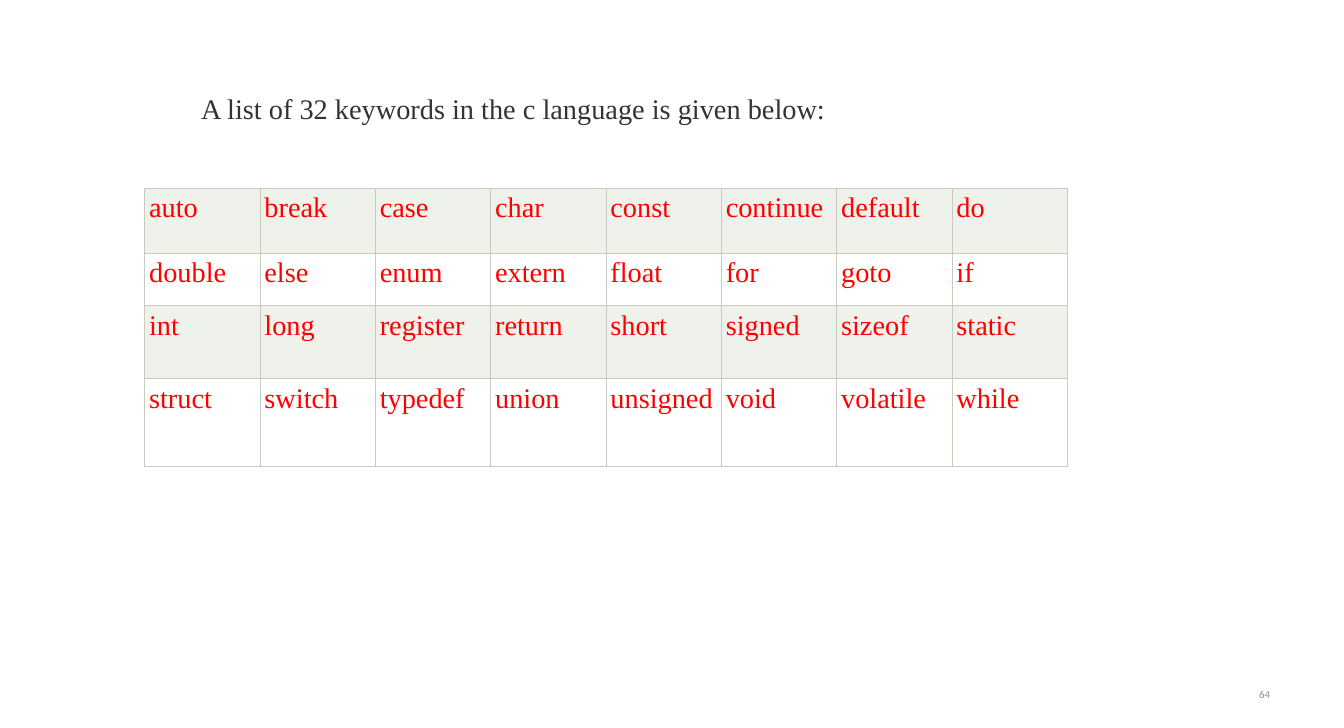
from dataclasses import dataclass

import pptx
import pptx.dml.color
import pptx.enum.text
import pptx.oxml
import pptx.oxml.ns
import pptx.slide
import pptx.table
import pptx.text.text
import pptx.util
from pptx.util import Inches

COLORS = {
    "intro": "333333",
    "keyword": "FF0000",
    "band": "EFF1EB",
    "plain": "FFFFFF",
    "border": "C7CCBE",
    "page_number": "8C8C8C",
}
ALIGN = pptx.enum.text.PP_ALIGN
ANCHOR = pptx.enum.text.MSO_ANCHOR
COLUMN_WIDTH = 1.81
CELL_MARGIN = 0.07
BORDER_POINTS = 0.6


@dataclass
class TextStyle:
    font: str
    size: float
    color: str
    align: pptx.enum.text.PP_ALIGN


@dataclass
class Label:
    text: str
    box: tuple[float, float, float, float]
    style: TextStyle
    anchor: pptx.enum.text.MSO_ANCHOR


@dataclass
class KeywordRow:
    height: float
    fill: str
    keywords: str


KEYWORD_STYLE = TextStyle("Times New Roman", 32, "keyword", ALIGN.JUSTIFY)
LABELS = [
    Label("A list of 32 keywords in the c language is given below:", (3.06, 1.38, 10.54, 0.64),
          TextStyle("Times New Roman", 32, "intro", ALIGN.LEFT), ANCHOR.TOP),
    Label("64", (15.11, 10.58, 4.92, 0.61),
          TextStyle("Calibri", 12.2, "page_number", ALIGN.RIGHT), ANCHOR.MIDDLE),
]
KEYWORD_ROWS = [
    KeywordRow(1.02, "band", "auto break case char const continue default do"),
    KeywordRow(0.82, "plain", "double else enum extern float for goto if"),
    KeywordRow(1.15, "band", "int long register return short signed sizeof static"),
    KeywordRow(1.38, "plain", "struct switch typedef union unsigned void volatile while"),
]


def rgb(name: str) -> pptx.dml.color.RGBColor:
    return pptx.dml.color.RGBColor.from_string(COLORS[name])


def write(paragraph: pptx.text.text._Paragraph, text: str, style: TextStyle) -> None:
    paragraph.text = text
    paragraph.alignment = style.align
    paragraph.font.name = style.font
    paragraph.font.size = pptx.util.Pt(style.size)
    paragraph.font.color.rgb = rgb(style.color)


def add_label(slide: pptx.slide.Slide, label: Label) -> None:
    frame = slide.shapes.add_textbox(*map(Inches, label.box)).text_frame
    frame.word_wrap = True
    frame.vertical_anchor = label.anchor
    write(frame.paragraphs[0], label.text, label.style)


def add_borders(cell: pptx.table._Cell) -> None:
    properties = cell._tc.get_or_add_tcPr()
    width = pptx.util.Pt(BORDER_POINTS)
    for side in ("lnL", "lnR", "lnT", "lnB"):
        properties.append(pptx.oxml.parse_xml(
            f'<a:{side} {pptx.oxml.ns.nsdecls("a")} w="{width}"><a:solidFill>'
            f'<a:srgbClr val="{COLORS["border"]}"/></a:solidFill></a:{side}>'))


def fill_cell(cell: pptx.table._Cell, keyword: str, fill: str) -> None:
    cell.margin_left = cell.margin_right = Inches(CELL_MARGIN)
    cell.margin_top = cell.margin_bottom = Inches(CELL_MARGIN)
    add_borders(cell)
    cell.fill.solid()
    cell.fill.fore_color.rgb = rgb(fill)
    write(cell.text_frame.paragraphs[0], keyword, KEYWORD_STYLE)


def add_keyword_table(slide: pptx.slide.Slide, rows: list[KeywordRow]) -> None:
    column_count = len(rows[0].keywords.split())
    table = slide.shapes.add_table(
        len(rows), column_count, Inches(2.27), Inches(2.95),
        Inches(COLUMN_WIDTH * column_count), Inches(sum(row.height for row in rows))).table
    for column in table.columns:
        column.width = Inches(COLUMN_WIDTH)
    for row_index, row in enumerate(rows):
        table.rows[row_index].height = Inches(row.height)
        for column_index, keyword in enumerate(row.keywords.split()):
            fill_cell(table.cell(row_index, column_index), keyword, row.fill)


def main() -> None:
    presentation = pptx.Presentation()
    presentation.slide_width = Inches(21.09)
    presentation.slide_height = Inches(11.42)
    slide = presentation.slides.add_slide(presentation.slide_layouts[6])

    # Keyword table
    add_keyword_table(slide, KEYWORD_ROWS)

    # Introduction and page number
    for label in LABELS:
        add_label(slide, label)

    presentation.save("out.pptx")


if __name__ == "__main__":
    main()
